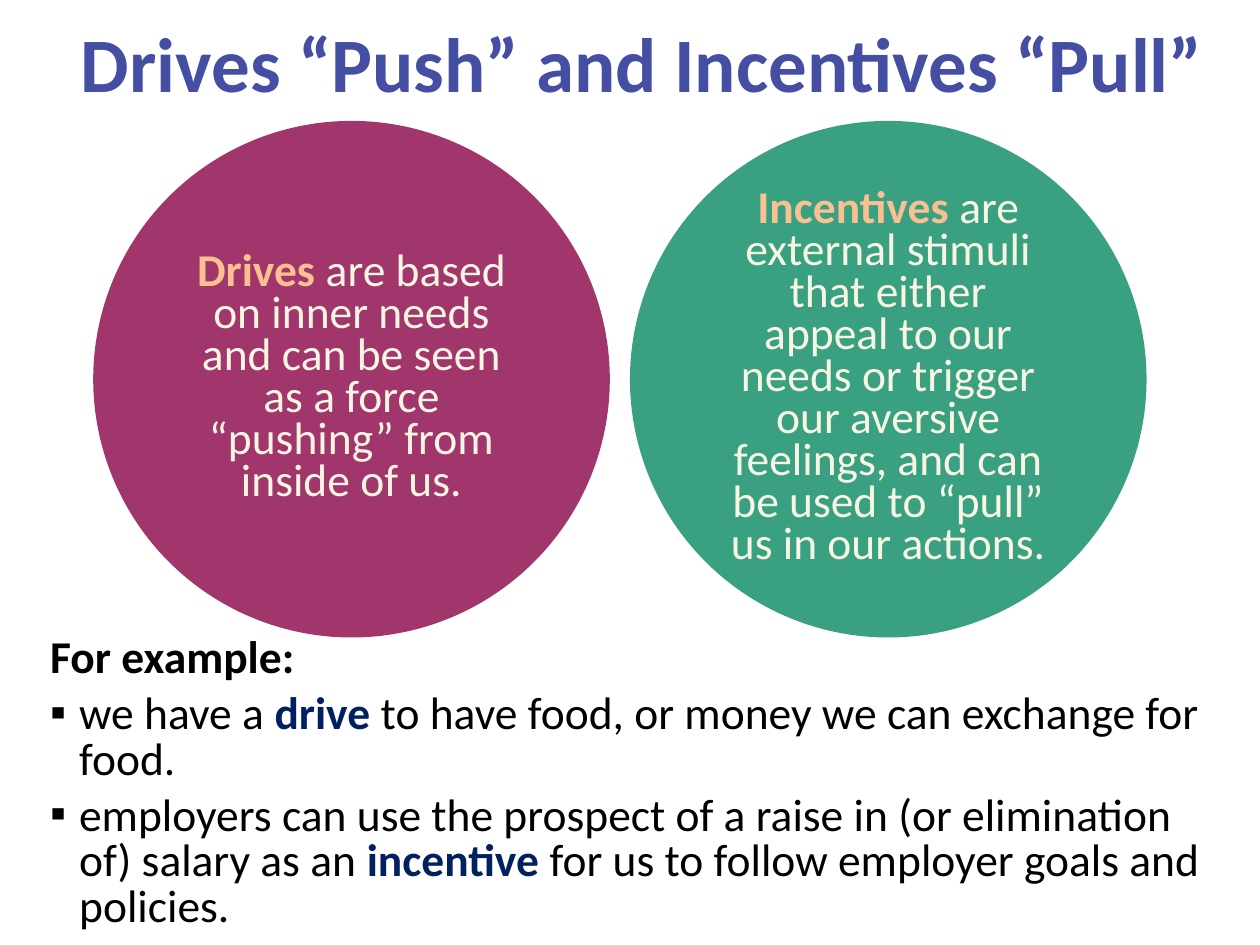
import pptx
import pptx.util
import pptx.dml.color
import pptx.enum.shapes
import pptx.enum.text
import pptx.oxml.ns
import lxml.etree
from dataclasses import dataclass

Pt = pptx.util.Pt
Inches = pptx.util.Inches
ALIGN = pptx.enum.text.PP_ALIGN
ANCHOR = pptx.enum.text.MSO_ANCHOR


@dataclass(frozen=True)
class Theme:
    font: str = "Calibri"
    title_size: int = 44
    body_size: int = 26
    title: str = "444EA2"
    drives: str = "A0366C"
    incentives: str = "3AA082"
    term: str = "FAC090"
    definition: str = "F8F6E3"
    example: str = "000000"
    keyword: str = "002060"


THEME = Theme()
SLIDE_WIDTH, SLIDE_HEIGHT = Inches(10), Inches(7.5)
CIRCLE_SHARE = 0.41
CIRCLE_LEFT, CIRCLE_STEP, CIRCLE_TOP = 0.074, 0.426, 0.128
BULLET_INDENT = Inches(0.23)


def rgb(color):
    return pptx.dml.color.RGBColor.from_string(color)


def apply_format(target, values):
    for name, value in values.items():
        setattr(target, name, value)


def place(left, top, width, height):
    return (int(SLIDE_WIDTH * left), int(SLIDE_HEIGHT * top),
            int(SLIDE_WIDTH * width), int(SLIDE_HEIGHT * height))


def set_frame(frame, insets, anchor):
    left, top, right, bottom = map(Inches, insets)
    apply_format(frame, {
        "word_wrap": True, "vertical_anchor": anchor,
        "margin_left": left, "margin_top": top,
        "margin_right": right, "margin_bottom": bottom,
    })


def write_paragraph(paragraph, runs, size, spacing):
    apply_format(paragraph, spacing)
    for words, color, bold in runs:
        run = paragraph.add_run()
        run.text = words
        apply_format(run.font, {"name": THEME.font, "size": Pt(size), "bold": bold})
        run.font.color.rgb = rgb(color)


def add_bullet(paragraph, color):
    properties = paragraph._p.get_or_add_pPr()
    properties.set("marL", str(BULLET_INDENT))
    properties.set("indent", str(-BULLET_INDENT))
    qn = pptx.oxml.ns.qn
    bullet_color = lxml.etree.SubElement(properties, qn("a:buClr"))
    lxml.etree.SubElement(bullet_color, qn("a:srgbClr"), val=color)
    lxml.etree.SubElement(properties, qn("a:buFont"), typeface="Arial")
    lxml.etree.SubElement(properties, qn("a:buChar"), char="▪")


def add_title(slide, words):
    title = slide.shapes.add_textbox(*place(0, 0, 1, 0.15))
    set_frame(title.text_frame, (0.3, 0.05, 0.1, 0.05), ANCHOR.MIDDLE)
    write_paragraph(title.text_frame.paragraphs[0], [(words, THEME.title, True)],
                    THEME.title_size, {"alignment": ALIGN.CENTER, "line_spacing": Pt(42)})


def add_concept(slide, column, fill, term, definition):
    left, top, diameter, _ = place(CIRCLE_LEFT + column * CIRCLE_STEP, CIRCLE_TOP,
                                   CIRCLE_SHARE, 0)
    concept = slide.shapes.add_shape(pptx.enum.shapes.MSO_SHAPE.OVAL,
                                     left, top, diameter, diameter)
    concept.shadow.inherit = False
    concept.fill.solid()
    concept.fill.fore_color.rgb = rgb(fill)
    concept.line.fill.background()
    set_frame(concept.text_frame, (0.2,) * 4, ANCHOR.MIDDLE)
    write_paragraph(concept.text_frame.paragraphs[0],
                    [(term, THEME.term, True), (definition, THEME.definition, False)],
                    THEME.body_size, {"alignment": ALIGN.CENTER, "line_spacing": Pt(24)})


def add_examples(slide, heading, examples):
    box = slide.shapes.add_textbox(*place(0.03, 0.668, 0.936, 0.325))
    frame = box.text_frame
    set_frame(frame, (0.1, 0.05, 0.1, 0.05), ANCHOR.TOP)
    frame.auto_size = pptx.enum.text.MSO_AUTO_SIZE.SHAPE_TO_FIT_TEXT
    spacing = {"alignment": ALIGN.LEFT, "line_spacing": Pt(26), "space_after": Pt(6)}
    write_paragraph(frame.paragraphs[0], [(heading, THEME.example, True)],
                    THEME.body_size, spacing)
    for before, keyword, after in examples:
        example = frame.add_paragraph()
        write_paragraph(example, [(before, THEME.example, False),
                                  (keyword, THEME.keyword, True),
                                  (after, THEME.example, False)],
                        THEME.body_size, spacing)
        add_bullet(example, THEME.example)


def main():
    presentation = pptx.Presentation()
    apply_format(presentation, {"slide_width": SLIDE_WIDTH, "slide_height": SLIDE_HEIGHT})
    slide = presentation.slides.add_slide(presentation.slide_layouts[6])
    add_title(slide, "Drives “Push” and Incentives “Pull”")
    concepts = [
        (THEME.drives, "Drives ",
         "are based on inner needs and can be seen as a force “pushing” from inside of us."),
        (THEME.incentives, "Incentives ",
         "are external stimuli that either appeal to our needs or trigger our aversive "
         "feelings, and can be used to “pull” us in our actions."),
    ]
    for column, concept in enumerate(concepts):
        add_concept(slide, column, *concept)
    add_examples(slide, "For example:", [
        ("we have a ", "drive ", "to have food, or money we can exchange for food."),
        ("employers can use the prospect of a raise in (or elimination of) salary as an ",
         "incentive", " for us to follow employer goals and policies."),
    ])
    presentation.save("out.pptx")


if __name__ == "__main__":
    main()
